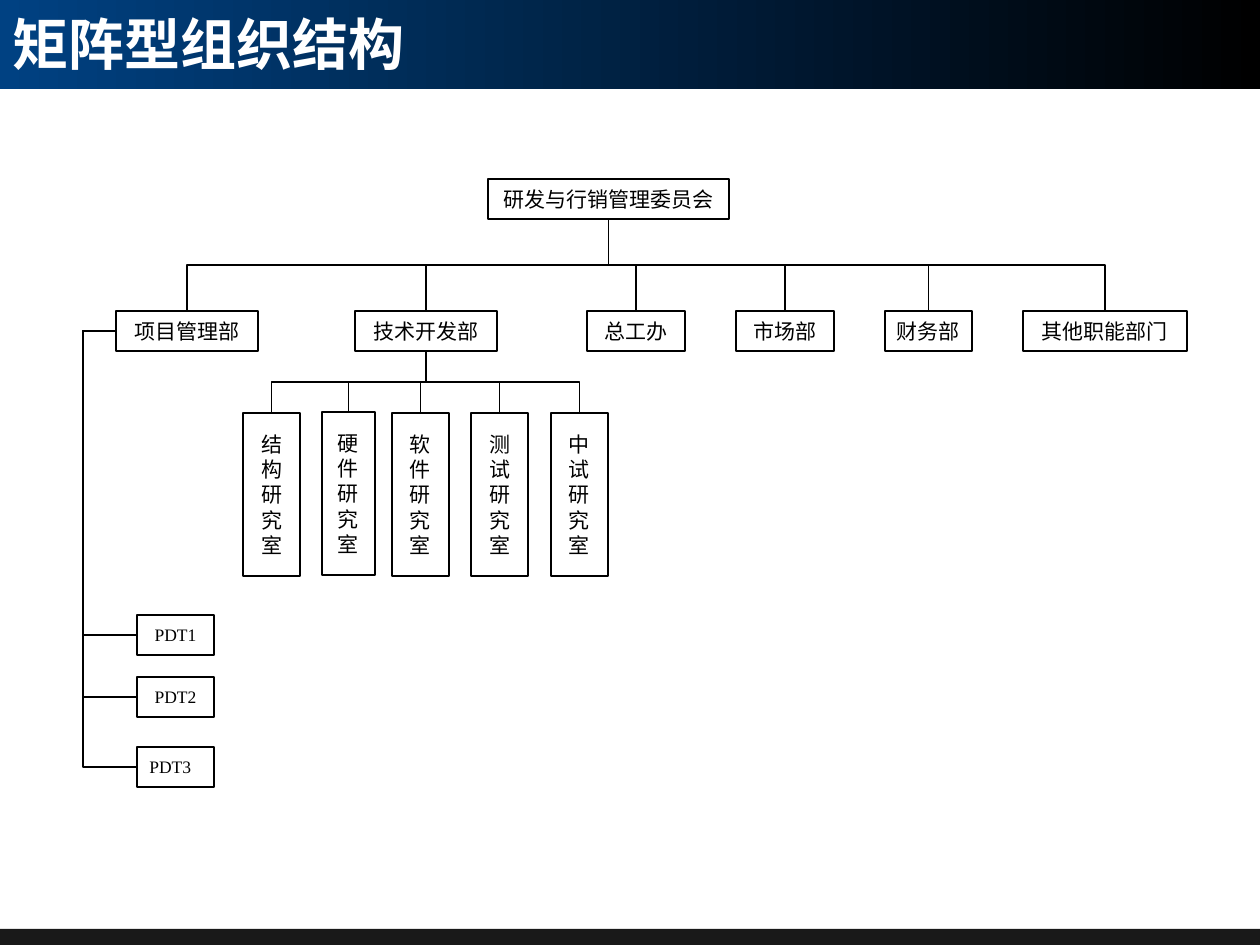
"""Builds a slide with the organisation chart of a matrix structure."""
from lxml.etree import SubElement
from pptx import Presentation
from pptx.dml.color import RGBColor
from pptx.enum.shapes import MSO_CONNECTOR, MSO_SHAPE
from pptx.enum.text import MSO_ANCHOR, MSO_AUTO_SIZE, PP_ALIGN
from pptx.oxml.ns import qn
from pptx.util import Emu, Pt

TITLE = "矩阵型组织结构"
COMMITTEE = ("研发与行销管理委员会", 488, 241)
DEPARTMENTS = [
    ("项目管理部", 116, 142),
    ("技术开发部", 355, 142),
    ("总工办", 587, 98),
    ("市场部", 736, 98),
    ("财务部", 885, 87),
    ("其他职能部门", 1023, 164),
]
LABORATORIES = [
    ("结构研究室", 243, 57, 413),
    ("硬件研究室", 322, 53, 412),
    ("软件研究室", 392, 57, 413),
    ("测试研究室", 471, 57, 413),
    ("中试研究室", 551, 57, 413),
]
TEAMS = [
    ("PDT1", 615, PP_ALIGN.CENTER),
    ("PDT2", 677, PP_ALIGN.CENTER),
    ("PDT3", 747, PP_ALIGN.JUSTIFY),
]

SLIDE_WIDTH, SLIDE_HEIGHT = 1260, 945
HEADER_HEIGHT, FOOTER_HEIGHT = 89, 16
BOX_HEIGHT, LABORATORY_HEIGHT = 40, 163
COMMITTEE_TOP, DEPARTMENT_TOP = 179, 311
TEAM_LEFT, TEAM_WIDTH = 137, 77
RAIL_LEFT = 83
TOP_SITE, LEFT_SITE, BOTTOM_SITE = 0, 1, 2

NAVY = RGBColor(0x00, 0x41, 0x82)
BLACK = RGBColor(0x00, 0x00, 0x00)
WHITE = RGBColor(0xFF, 0xFF, 0xFF)
TITLE_FONT = "Noto Sans CJK SC"
BODY_FONT = "Times New Roman"


def px(value):
    return Emu(round(value * 914400 / 126))


def write(shape, text, *, size, font=BODY_FONT, color=BLACK, bold=False,
          align=PP_ALIGN.CENTER, wrap=False):
    frame = shape.text_frame
    frame.text = text
    frame.word_wrap = wrap
    frame.auto_size = MSO_AUTO_SIZE.NONE
    frame.vertical_anchor = MSO_ANCHOR.MIDDLE
    for paragraph in frame.paragraphs:
        paragraph.alignment = align
        for run in paragraph.runs:
            run.font.size = Pt(size)
            run.font.name = font
            run.font.bold = bold
            run.font.color.rgb = color


def add_rectangle(slide, left, top, width, height):
    shape = slide.shapes.add_shape(
        MSO_SHAPE.RECTANGLE, px(left), px(top), px(width), px(height))
    shape.shadow.inherit = False
    return shape


def add_bands(slide):
    header = add_rectangle(slide, 0, 0, SLIDE_WIDTH, HEADER_HEIGHT)
    header.line.fill.background()
    header.fill.gradient()
    header.fill.gradient_angle = 0
    for stop, color in zip(header.fill.gradient_stops, (NAVY, BLACK)):
        stop.color.rgb = color
    footer = add_rectangle(slide, 0, SLIDE_HEIGHT - FOOTER_HEIGHT, SLIDE_WIDTH, FOOTER_HEIGHT)
    footer.line.fill.background()
    footer.fill.solid()
    footer.fill.fore_color.rgb = BLACK
    color_element = footer._element.spPr.find(".//" + qn("a:srgbClr"))
    SubElement(color_element, qn("a:alpha")).set("val", "90000")


def add_title(slide):
    title = slide.shapes.title
    slide.shapes._spTree.append(title._element)
    title.left, title.top, title.width, title.height = px(0), px(0), px(723), px(86)
    write(title, TITLE, size=32, font=TITLE_FONT, color=WHITE, bold=True,
          align=PP_ALIGN.LEFT, wrap=True)


def add_box(slide, text, left, top, width, height=BOX_HEIGHT, **text_format):
    box = add_rectangle(slide, left, top, width, height)
    box.fill.background()
    box.line.color.rgb = BLACK
    box.line.width = Pt(0.75)
    write(box, text, **text_format)
    return box


def add_elbow(slide, parent, child, parent_site, child_site):
    connector = slide.shapes.add_connector(MSO_CONNECTOR.ELBOW, 0, 0, 0, 0)
    connector.begin_connect(parent, parent_site)
    connector.end_connect(child, child_site)
    connector.line.color.rgb = BLACK
    connector.line.width = Pt(0.75)
    SubElement(connector._element.spPr, qn("a:effectLst"))
    return connector


def connect_down(slide, parent, child):
    connector = add_elbow(slide, parent, child, BOTTOM_SITE, TOP_SITE)
    start_x, start_y = parent.left + parent.width // 2, parent.top + parent.height
    end_x, end_y = child.left + child.width // 2, child.top
    width, height = end_y - start_y, abs(end_x - start_x)
    connector.left = Emu((start_x + end_x - width) // 2)
    connector.top = Emu((start_y + end_y - height) // 2)
    connector.width, connector.height = Emu(width), Emu(height)
    goes_right = end_x > start_x
    transform = connector._element.spPr.xfrm
    transform.set("rot", "16200000" if goes_right else "5400000")
    transform.set("flipH", "1" if goes_right else "0")


def connect_rail(slide, parent, child):
    connector = add_elbow(slide, parent, child, LEFT_SITE, LEFT_SITE)
    bend = round(100000 * (px(RAIL_LEFT) - parent.left) / (child.left - parent.left))
    guides = connector._element.spPr.prstGeom.get_or_add_avLst()
    guide = SubElement(guides, qn("a:gd"))
    guide.set("name", "adj1")
    guide.set("fmla", f"val {bend}")


def main():
    presentation = Presentation()
    presentation.slide_width, presentation.slide_height = px(SLIDE_WIDTH), px(SLIDE_HEIGHT)
    slide = presentation.slides.add_slide(presentation.slide_layouts.get_by_name("Title Only"))
    add_bands(slide)
    add_title(slide)

    name, left, width = COMMITTEE
    committee = add_box(slide, name, left, COMMITTEE_TOP, width, size=12)
    departments = [add_box(slide, name, left, DEPARTMENT_TOP, width, size=12)
                   for name, left, width in DEPARTMENTS]
    laboratories = [add_box(slide, "\n".join(name), left, top, width, LABORATORY_HEIGHT, size=12)
                    for name, left, width, top in LABORATORIES]
    teams = [add_box(slide, name, TEAM_LEFT, top, TEAM_WIDTH, size=10, align=align)
             for name, top, align in TEAMS]

    project_management, development = departments[:2]
    for department in departments:
        connect_down(slide, committee, department)
    for laboratory in laboratories:
        connect_down(slide, development, laboratory)
    for team in teams:
        connect_rail(slide, project_management, team)
    presentation.save("out.pptx")


if __name__ == "__main__":
    main()
